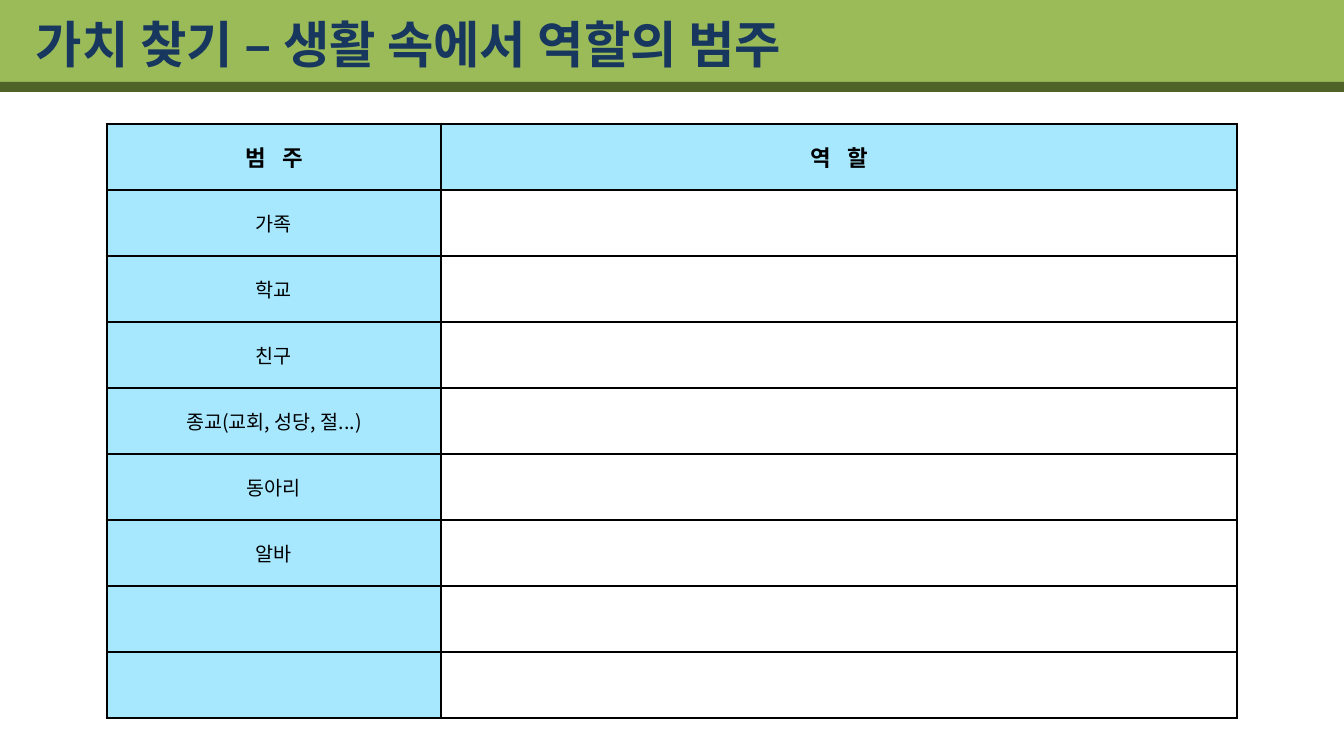
from lxml.etree import SubElement
from pptx import Presentation
from pptx.dml.color import RGBColor
from pptx.enum.shapes import MSO_SHAPE
from pptx.enum.text import MSO_ANCHOR, PP_ALIGN
from pptx.oxml.ns import qn
from pptx.util import Pt

SCALE = 914400 / 100.8
WIDTH, HEIGHT = 1344, 756
KOREAN_FONT = "Noto Sans CJK KR"
CATEGORIES = ["가족", "학교", "친구", "종교(교회, 성당, 절...)", "동아리", "알바", "", ""]
THICK, THIN = 2.25, 1


def px(length):
    """Turn pixels into EMU."""
    return round(length * SCALE)


def color(hex_value):
    """Turn a hex string into a colour."""
    return RGBColor.from_string(hex_value)


def style(paragraph, font_name, size, hex_value, bold=False):
    """Set the paragraph's font, for Latin and Korean text alike."""
    font = paragraph.font
    font.name, font.size, font.bold = font_name, Pt(size), bold
    font.color.rgb = color(hex_value)
    korean = SubElement(paragraph._p.pPr.find(qn("a:defRPr")), qn("a:ea"))
    korean.set("typeface", KOREAN_FONT)


def add_band(slide, left, top, width, height, hex_value):
    """Add a plain filled bar."""
    band = slide.shapes.add_shape(
        MSO_SHAPE.RECTANGLE, px(left), px(top), px(width), px(height))
    band.shadow.inherit = False
    band.fill.solid()
    band.fill.fore_color.rgb = color(hex_value)
    band.line.fill.background()


def add_header(slide, left, top, width, height):
    """Add the green header with its dark rule and title."""
    rule = 10
    add_band(slide, left, top, width, height, "9BBB59")
    add_band(slide, left, top + height - rule, width, rule, "4F6228")
    title = slide.shapes.add_textbox(
        px(left + 26), px(top + 5), px(1075), px(77)).text_frame
    title.word_wrap = True
    title.vertical_anchor = MSO_ANCHOR.MIDDLE
    heading = title.paragraphs[0]
    heading.text = "가치 찾기 – 생활 속에서 역할의 범주"
    style(heading, "Arial", 36, "17375E", bold=True)


def set_borders(cell, **widths):
    """Draw black cell borders, given in points by side: L, R, T, B."""
    properties = cell._tc.get_or_add_tcPr()
    for side, width in widths.items():
        line = SubElement(properties, qn(f"a:ln{side}"), w=str(Pt(width)))
        fill = SubElement(line, qn("a:solidFill"))
        SubElement(fill, qn("a:srgbClr"), val="000000")


def fill_cell(cell, text, heading, shaded):
    """Write and shade one cell of the role table."""
    cell.vertical_anchor = MSO_ANCHOR.MIDDLE
    cell.margin_left = cell.margin_right = px(12)
    if shaded:
        cell.fill.solid()
        cell.fill.fore_color.rgb = color("A7E8FF")
    else:
        cell.fill.background()
    label = cell.text_frame.paragraphs[0]
    label.text = text
    label.alignment = PP_ALIGN.CENTER
    style(label, KOREAN_FONT, 16 if heading else 14, "000000", bold=heading)
    if heading:
        # Letter spacing opens the gap between the two syllables.
        label._p.pPr.find(qn("a:defRPr")).set("spc", "400")


def add_role_table(slide, left, top, width, height):
    """Add the table of life categories with blank role cells."""
    rows = [("범 주", "역 할")] + [(category, "") for category in CATEGORIES]
    last = len(rows) - 1
    table = slide.shapes.add_table(
        len(rows), 2, px(left), px(top), px(width), px(height)).table
    category_width = 334
    table.columns[0].width = px(category_width)
    table.columns[1].width = px(width - category_width)
    for r, texts in enumerate(rows):
        table.rows[r].height = px(height / len(rows))
        for c, text in enumerate(texts):
            cell = table.cell(r, c)
            set_borders(cell,
                        L=THICK if c == 0 else THIN,
                        R=THICK if c == 1 else THIN,
                        T=THICK if r <= 1 else THIN,
                        B=THICK if r in (0, last) else THIN)
            fill_cell(cell, text, heading=r == 0, shaded=r == 0 or c == 0)


def main():
    """Build and save the slide."""
    deck = Presentation()
    deck.slide_width, deck.slide_height = px(WIDTH), px(HEIGHT)
    slide = deck.slides.add_slide(deck.slide_layouts[6])
    add_header(slide, 0, 0, WIDTH, 92)
    add_role_table(slide, 107, 124, 1130, 594)
    deck.save("out.pptx")


main()
